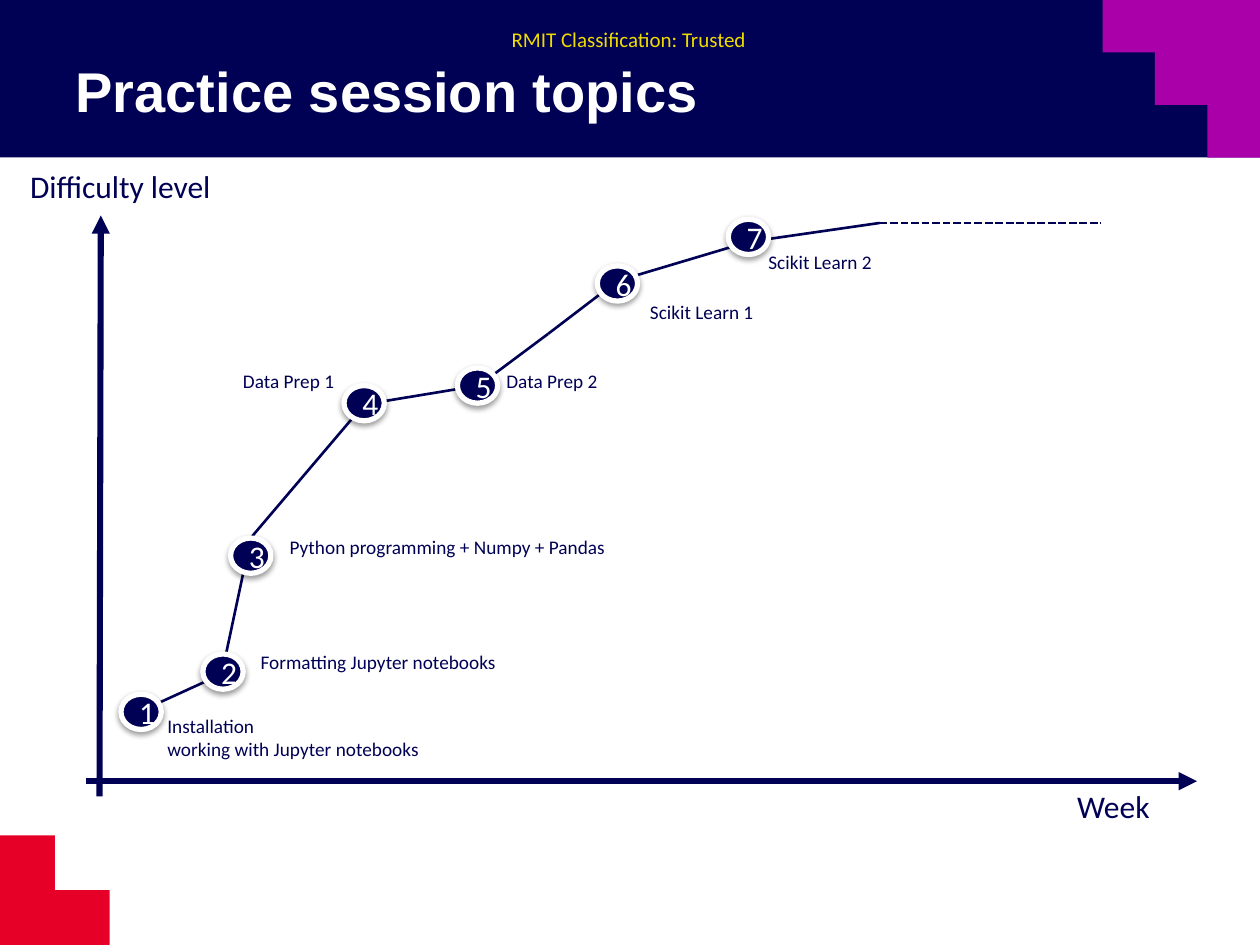
from itertools import pairwise

from lxml import etree
from pptx import Presentation
from pptx.dml.color import RGBColor
from pptx.enum import dml, shapes, text
from pptx.oxml import parse_xml
from pptx.oxml.ns import nsdecls, qn
from pptx.util import Inches, Pt

NAVY = RGBColor(0x00, 0x00, 0x54)
RED = RGBColor(0xE6, 0x00, 0x28)
PURPLE = RGBColor(0xAA, 0x00, 0xAA)
YELLOW = RGBColor(0xEE, 0xDC, 0x00)
WHITE = RGBColor(0xFF, 0xFF, 0xFF)

# Places on the graph, in inches from the top left of its box
ROUTE = [(1.06, 4.42), (1.76, 4.1), (1.99, 3.02), (2.89, 1.96), (3.8, 1.81),
         (4.35, 1.4), (4.9, 0.98), (5.94, 0.67), (6.98, 0.52)]
ROUTE_END = (8.74, 0.52)
# Centre of each marker, then left, top, width and wording of its label
TOPICS = [
    (1.12, 4.4, 1.23, 4.37, 4.24, "Installation\nworking with Jupyter notebooks"),
    (1.77, 4.08, 1.97, 3.86, 4.24, "Formatting Jupyter notebooks"),
    (1.99, 3.16, 2.2, 2.95, 2.88, "Python programming + Numpy + Pandas"),
    (2.89, 1.95, 1.83, 1.63, 1.08, "Data Prep 1"),
    (3.79, 1.81, 3.92, 1.63, 1.15, "Data Prep 2"),
    (4.9, 1.0, 5.06, 1.08, 1.15, "Scikit Learn 1"),
    (5.94, 0.63, 6.0, 0.69, 1.15, "Scikit Learn 2"),
]
SHADOW = (f'<a:effectLst {nsdecls("a")}><a:outerShdw blurRad="40000" dist="20000" '
          'dir="5400000" rotWithShape="0"><a:srgbClr val="000000">'
          '<a:alpha val="38000"/></a:srgbClr></a:outerShdw></a:effectLst>')


def write(frame, words, size=11, font="Calibri", color=NAVY, bold=False,
          align=text.PP_ALIGN.LEFT, anchor=text.MSO_ANCHOR.TOP):
    frame.text = words
    frame.word_wrap = True
    frame.vertical_anchor = anchor
    for para in frame.paragraphs:
        para.alignment = align
        para.font.size = Pt(size)
        para.font.name = font
        para.font.bold = bold
        para.font.color.rgb = color


def label(slide, x, y, w, h, words, margin=None, **style):
    frame = slide.shapes.add_textbox(Inches(x), Inches(y), Inches(w), Inches(h)).text_frame
    write(frame, words, **style)
    if margin is not None:
        frame.margin_left = frame.margin_right = margin
        frame.margin_top = frame.margin_bottom = margin


def paint(shape, color):
    shape.shadow.inherit = False
    shape.fill.solid()
    shape.fill.fore_color.rgb = color
    shape.line.fill.background()


def block(slide, kind, x, y, w, h, color):
    shape = slide.shapes.add_shape(kind, Inches(x), Inches(y), Inches(w), Inches(h))
    paint(shape, color)
    return shape


def stroke(slide, start, end, width=1.5, arrow=False, dash=None):
    line = slide.shapes.add_connector(shapes.MSO_CONNECTOR.STRAIGHT,
                                      *map(Inches, start + end))
    line.line.color.rgb = NAVY
    line.line.width = Pt(width)
    if dash:
        line.line.dash_style = dash
    if arrow:
        etree.SubElement(line.line._get_or_add_ln(), qn("a:tailEnd"), type="triangle")
    etree.SubElement(line._element.spPr, qn("a:effectLst"))


def stairs(slide, x, y, size, steps=3):
    """Steps that climb down to the right edge of a square."""
    step = size / steps
    points = []
    for n in range(steps):
        points += [(x + n * step, y + n * step), (x + n * step, y + (n + 1) * step)]
    points += [(x + size, y + size), (x + size, y)]
    points = [(Inches(px), Inches(py)) for px, py in points]
    pen = slide.shapes.build_freeform(*points[0])
    pen.add_line_segments(points[1:], close=True)
    paint(pen.convert_to_shape(), PURPLE)


def header(slide, x, y, w, h):
    block(slide, shapes.MSO_SHAPE.RECTANGLE, x, y, w, h, NAVY)
    stairs(slide, x + w - h, y, h)
    label(slide, x + 4.06, y + 0.21, 1.92, 0.2, "RMIT Classification: Trusted",
          margin=0, size=12, color=YELLOW)
    title = slide.shapes.title
    title.left, title.top = Inches(x + 0.5), Inches(y + 0.24)
    title.width, title.height = Inches(w - 1), Inches(0.95)
    write(title.text_frame, "Practice session topics", size=32, font="Arial",
          color=WHITE, bold=True, anchor=text.MSO_ANCHOR.MIDDLE)
    slide.shapes._spTree.append(title._element)  # in front of the band


def corner(slide, x, y, size):
    """An L shape, a preset that MSO_SHAPE does not list."""
    shape = block(slide, shapes.MSO_SHAPE.RECTANGLE, x, y, size, size, RED)
    shape._element.spPr.find(qn("a:prstGeom")).set("prst", "corner")


def marker(slide, x, y, number):
    """A numbered dot centred on a point."""
    w, h = 0.32, 0.28
    dot = block(slide, shapes.MSO_SHAPE.OVAL, x - w / 2, y - h / 2, w, h, NAVY)
    dot.line.color.rgb = WHITE
    dot.line.width = Pt(3)
    props = dot._element.spPr
    props.replace(props.find(qn("a:effectLst")), parse_xml(SHADOW))
    write(dot.text_frame, str(number), size=18, color=WHITE,
          align=text.PP_ALIGN.CENTER, anchor=text.MSO_ANCHOR.MIDDLE)


def graph(slide, x, y):
    def at(point):
        return x + point[0], y + point[1]

    stroke(slide, at((0.68, 4.95)), at((9.5, 4.95)), width=3.5, arrow=True)
    stroke(slide, at((0.79, 5.07)), at((0.8, 0.46)), width=3.5, arrow=True)
    label(slide, x + 8.45, y + 4.95, 0.81, 0.4, "Week", size=18)
    label(slide, x + 0.14, y + 0.03, 1.89, 0.4, "Difficulty level", size=18)
    for start, end in pairwise(ROUTE):
        stroke(slide, at(start), at(end))
    stroke(slide, at(ROUTE[-1]), at(ROUTE_END), dash=dml.MSO_LINE.SQUARE_DOT)
    for number, (cx, cy, left, top, width, words) in enumerate(TOPICS, 1):
        marker(slide, x + cx, y + cy, number)
        height = 0.47 if "\n" in words else 0.29
        label(slide, x + left, y + top, width, height, words)


def main():
    deck = Presentation()
    deck.slide_width, deck.slide_height = Inches(10), Inches(7.5)
    slide = deck.slides.add_slide(deck.slide_layouts[5])
    header(slide, 0, 0, 10, 1.25)
    corner(slide, 0, 6.63, 0.87)
    graph(slide, 0, 1.25)
    deck.save("out.pptx")


if __name__ == "__main__":
    main()
